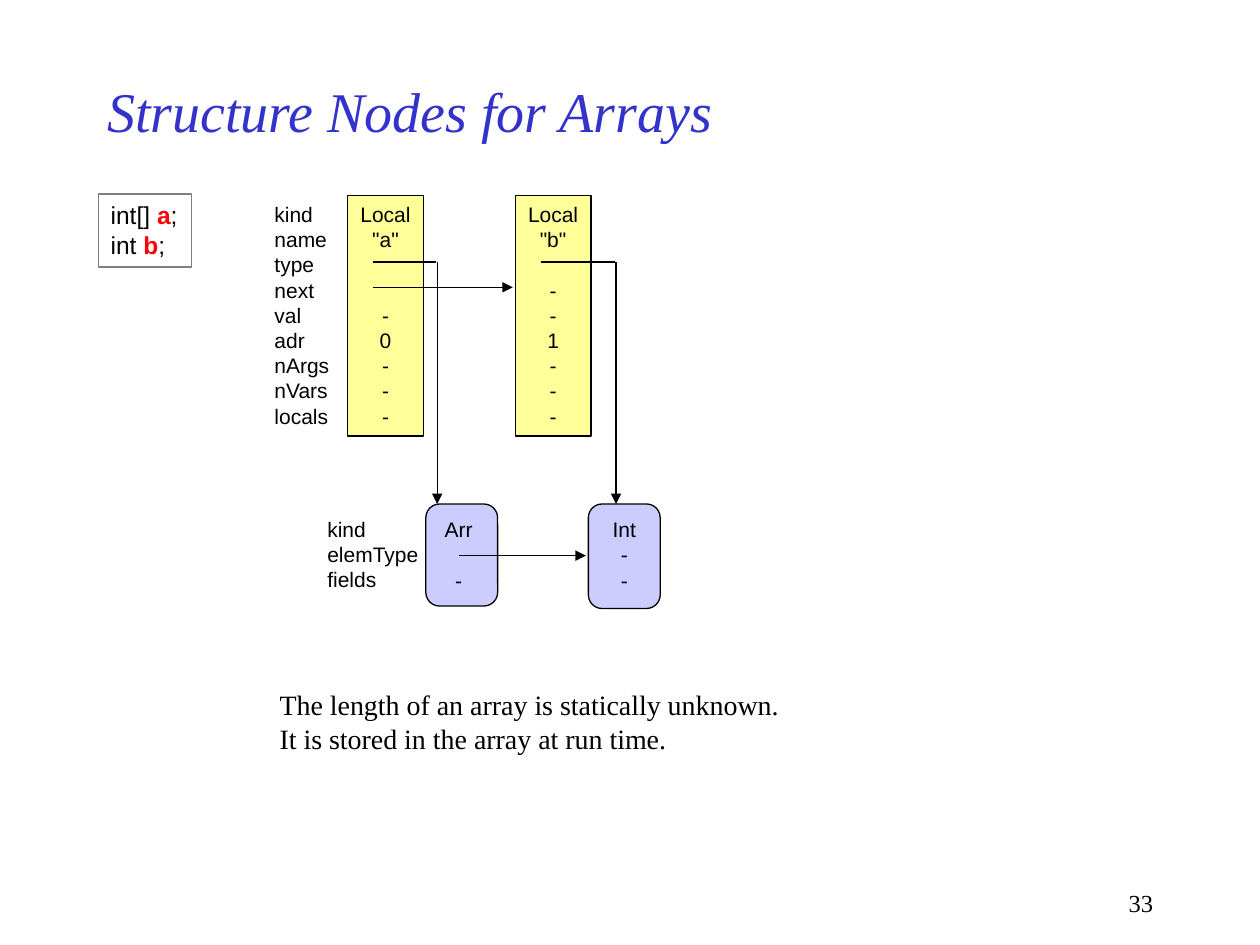
"""Build the slide on structure nodes for arrays."""
from lxml.etree import SubElement
from pptx import Presentation
from pptx.dml.color import RGBColor
from pptx.enum.shapes import MSO_CONNECTOR, MSO_SHAPE
from pptx.enum.text import MSO_ANCHOR, PP_ALIGN
from pptx.oxml.ns import qn
from pptx.util import Inches, Pt

BLACK = RGBColor(0x00, 0x00, 0x00)
BLUE = RGBColor(0x33, 0x33, 0xCC)
RED = RGBColor(0xFF, 0x00, 0x00)
GRAY = RGBColor(0x80, 0x80, 0x80)
YELLOW = RGBColor(0xFF, 0xFF, 0x99)
LAVENDER = RGBColor(0xCC, 0xCC, 0xFF)
SANS, SERIF = "Arial", "Times New Roman"
LINE_HEIGHT = 14.4


def write_lines(shape, lines, size=12, name=SANS, alignment=PP_ALIGN.LEFT):
    frame = shape.text_frame
    frame.word_wrap = False
    frame.vertical_anchor = MSO_ANCHOR.TOP
    paragraph, gap = frame.paragraphs[0], 0
    for index, line in enumerate(lines):
        if not line:
            gap += LINE_HEIGHT
            continue
        if index:
            paragraph = frame.add_paragraph()
        for position, text in enumerate([line] if isinstance(line, str) else line):
            run = paragraph.add_run()
            run.text = text
            if position == 1:
                run.font.bold = True
                run.font.color.rgb = RED
        paragraph.alignment = alignment
        paragraph.space_before = Pt(gap)
        paragraph.font.size = Pt(size)
        paragraph.font.name = name
        paragraph.font.color.rgb = BLACK
        gap = 0


def add_box(kind, left, top, width, height, line_color, fill_color=None):
    box = slide.shapes.add_shape(kind, Inches(left), Inches(top), Inches(width), Inches(height))
    box.shadow.inherit = False
    box.line.color.rgb = line_color
    box.line.width = Pt(0.75)
    if fill_color is None:
        box.fill.background()
    else:
        box.fill.solid()
        box.fill.fore_color.rgb = fill_color
    return box


presentation = Presentation()
presentation.slide_width, presentation.slide_height = Inches(10), Inches(7.5)
slide = presentation.slides.add_slide(presentation.slide_layouts[5])

title = slide.shapes.title
title.left, title.top, title.width, title.height = map(Inches, (0.75, 0.5, 7.5, 0.75))
title.text_frame.text = "Structure Nodes for Arrays"
title.text_frame.vertical_anchor = MSO_ANCHOR.MIDDLE
heading = title.text_frame.paragraphs[0]
heading.alignment = PP_ALIGN.LEFT
heading.font.name, heading.font.size = SERIF, Pt(32)
heading.font.italic = True
heading.font.color.rgb = BLUE

code_box = add_box(MSO_SHAPE.RECTANGLE, 0.78, 1.54, 0.74, 0.58, GRAY)
write_lines(code_box, [("int[] ", "a", ";"), ("int ", "b", ";")], 14)

object_fields = ["kind", "name", "type", "next", "val", "adr", "nArgs", "nVars", "locals"]
structure_fields = ["kind", "elemType", "fields"]
remark = ["The length of an array is statically unknown.", "It is stored in the array at run time."]
for left, top, width, height, lines, size, name, alignment in [
    (2.08, 1.55, 0.68, 1.9, object_fields, 12, SANS, PP_ALIGN.LEFT),
    (2.5, 4.05, 0.96, 0.7, structure_fields, 12, SANS, PP_ALIGN.LEFT),
    (2.12, 5.41, 4.25, 0.64, remark, 16, SERIF, PP_ALIGN.LEFT),
    (7.17, 7, 2.08, 0.33, ["33"], 14, SERIF, PP_ALIGN.RIGHT),
]:
    text_box = slide.shapes.add_textbox(Inches(left), Inches(top), Inches(width), Inches(height))
    write_lines(text_box, lines, size, name, alignment)

for left, values in [
    (2.76, ["Local", '"a"', "", "", "-", "0", "-", "-", "-"]),
    (4.09, ["Local", '"b"', "", "-", "-", "1", "-", "-", "-"]),
]:
    object_node = add_box(MSO_SHAPE.RECTANGLE, left, 1.55, 0.6, 1.91, BLACK, YELLOW)
    object_node.text_frame.margin_left = object_node.text_frame.margin_right = Inches(0.05)
    write_lines(object_node, values, alignment=PP_ALIGN.CENTER)

for left, height, right_margin, values in [
    (3.38, 0.81, 0.05, ["Arr", "", "-"]),
    (4.67, 0.83, 0, ["Int", "-", "-"]),
]:
    structure_node = add_box(MSO_SHAPE.ROUNDED_RECTANGLE, left, 4, 0.57, height, BLACK, LAVENDER)
    structure_node.adjustments[0] = 0.19
    frame = structure_node.text_frame
    frame.margin_left, frame.margin_right = 0, Inches(right_margin)
    frame.margin_top = Inches(0.07)
    write_lines(structure_node, values, alignment=PP_ALIGN.CENTER)

for start_x, start_y, end_x, end_y, has_arrow in [
    (2.96, 2.08, 3.46, 2.08, False),
    (3.47, 2.08, 3.47, 4, True),
    (2.96, 2.28, 4.07, 2.28, True),
    (3.64, 4.41, 4.65, 4.41, True),
    (4.29, 2.08, 4.88, 2.08, False),
    (4.89, 2.08, 4.89, 4, True),
]:
    connector = slide.shapes.add_connector(
        MSO_CONNECTOR.STRAIGHT, Inches(start_x), Inches(start_y), Inches(end_x), Inches(end_y)
    )
    connector.line.color.rgb = BLACK
    connector.line.width = Pt(0.75)
    properties = connector.element.spPr
    if has_arrow:
        SubElement(properties.find(qn("a:ln")), qn("a:tailEnd"), type="triangle")
    SubElement(properties, qn("a:effectLst"))

presentation.save("out.pptx")
